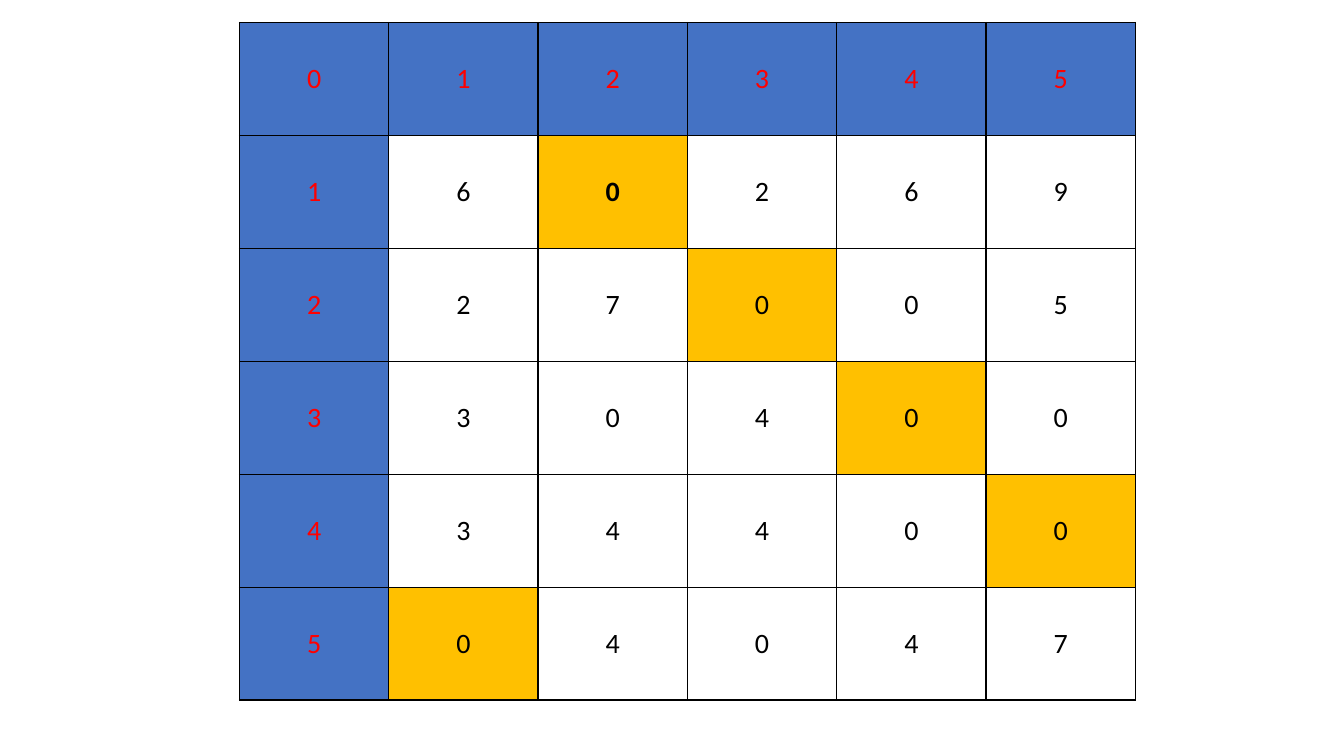
import pptx
import pptx.dml.color
import pptx.enum.text
import pptx.util
from lxml import etree

# Content: header row and column, then the cost matrix
MATRIX = [
    [0, 1, 2, 3, 4, 5],
    [1, 6, 0, 2, 6, 9],
    [2, 2, 7, 0, 0, 5],
    [3, 3, 0, 4, 0, 0],
    [4, 3, 4, 4, 0, 0],
    [5, 0, 4, 0, 4, 7],
]
ASSIGNED = {(1, 2), (2, 3), (3, 4), (4, 5), (5, 1)}
BOLD = {(1, 2)}
COLORS = {
    "header": "4472C4",
    "header_text": "FF0000",
    "assigned": "FFC000",
    "text": "000000",
    "border": "000000",
}
LEFT, TOP = 171, 16
COLUMN_WIDTH, ROW_HEIGHT = 106.67, 80.7
NAMESPACE = "http://schemas.openxmlformats.org/drawingml/2006/main"


def rgb(name):
    return pptx.dml.color.RGBColor.from_string(COLORS[name])


def add_borders(cell):
    properties = cell._tc.get_or_add_tcPr()
    for side in ("lnL", "lnR", "lnT", "lnB"):
        line = etree.SubElement(properties, f"{{{NAMESPACE}}}{side}", w=str(pptx.util.Pt(1)))
        fill = etree.SubElement(line, f"{{{NAMESPACE}}}solidFill")
        etree.SubElement(fill, f"{{{NAMESPACE}}}srgbClr", val=COLORS["border"])


def format_cell(cell, row, column):
    is_header = row == 0 or column == 0
    add_borders(cell)
    if is_header or (row, column) in ASSIGNED:
        cell.fill.solid()
        cell.fill.fore_color.rgb = rgb("header" if is_header else "assigned")
    else:
        cell.fill.background()
    cell.text = str(MATRIX[row][column])
    cell.vertical_anchor = pptx.enum.text.MSO_ANCHOR.MIDDLE
    paragraph = cell.text_frame.paragraphs[0]
    paragraph.alignment = pptx.enum.text.PP_ALIGN.CENTER
    font = paragraph.font
    font.name = "Calibri"
    font.size = pptx.util.Pt(20)
    font.bold = (row, column) in BOLD
    font.color.rgb = rgb("header_text" if is_header else "text")


def main():
    presentation = pptx.Presentation()
    presentation.slide_width = pptx.util.Pt(960)
    presentation.slide_height = pptx.util.Pt(540)
    slide = presentation.slides.add_slide(presentation.slide_layouts[6])

    # Matrix table with equal columns and rows
    row_count, column_count = len(MATRIX), len(MATRIX[0])
    table = slide.shapes.add_table(
        row_count, column_count,
        pptx.util.Pt(LEFT), pptx.util.Pt(TOP),
        pptx.util.Pt(COLUMN_WIDTH * column_count), pptx.util.Pt(ROW_HEIGHT * row_count),
    ).table
    table.first_row = False
    table.horz_banding = False
    for row in range(row_count):
        for column in range(column_count):
            format_cell(table.cell(row, column), row, column)

    presentation.save("out.pptx")


if __name__ == "__main__":
    main()
